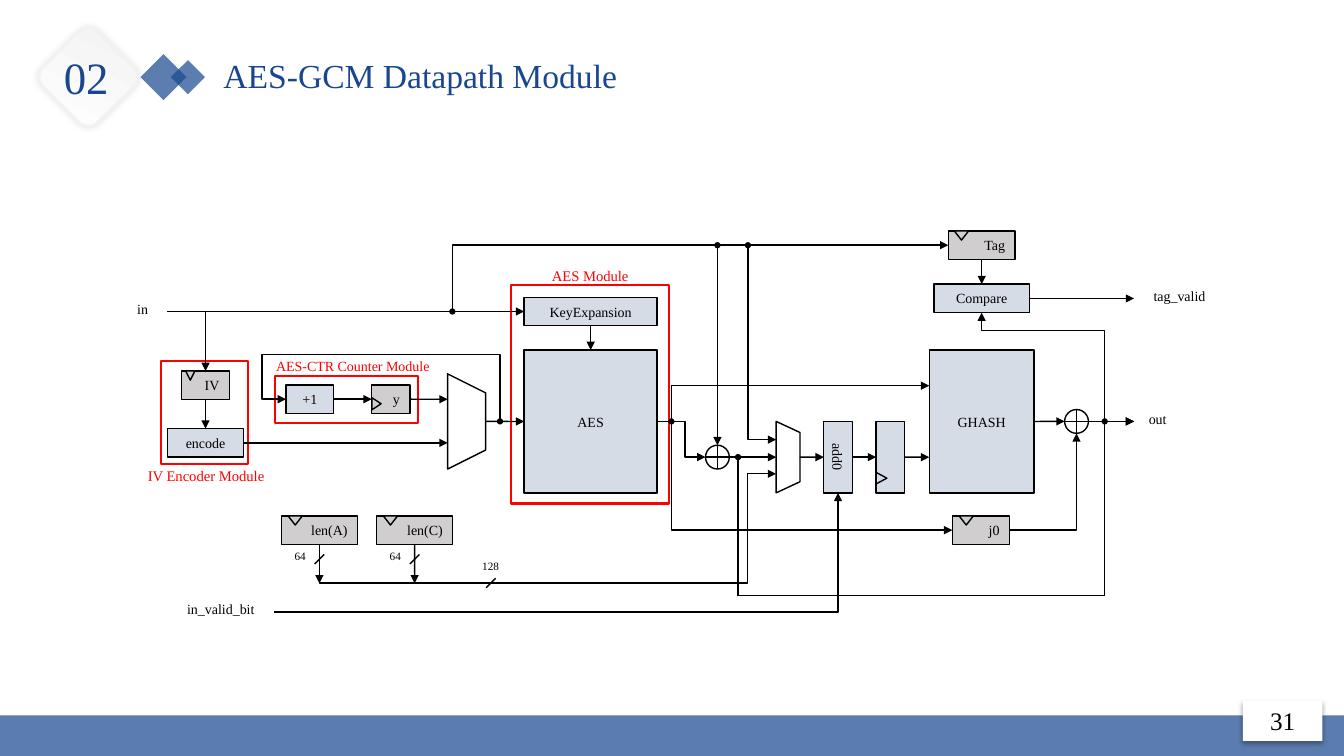
from lxml.etree import SubElement
from pptx import Presentation
from pptx.dml.color import RGBColor
from pptx.enum.shapes import MSO_CONNECTOR as Link, MSO_SHAPE as Preset
from pptx.enum.text import MSO_ANCHOR as Anchor, PP_ALIGN as Align
from pptx.oxml.ns import qn
from pptx.util import Cm, Pt

BLACK = RGBColor(0x00, 0x00, 0x00)
WHITE = RGBColor(0xFF, 0xFF, 0xFF)
PALE = RGBColor(0xF2, 0xF2, 0xF2)
RED = RGBColor(0xFF, 0x00, 0x00)
NAVY = RGBColor(0x18, 0x47, 0x8F)
STEEL = RGBColor(0x5B, 0x7C, 0xAE)
LOGIC = RGBColor(0xD6, 0xDC, 0xE5)
STORE = RGBColor(0xD0, 0xCE, 0xCE)
TOP, LEFT, BOTTOM, RIGHT = range(4)


class Diagram:
    font = "Times New Roman"

    def __init__(self, slide):
        self.slide = slide

    def add_text(self, frame, text, size, color, align):
        paragraph = frame.paragraphs[0]
        paragraph.alignment = align
        run = paragraph.add_run()
        run.text = text
        run.font.name, run.font.size = self.font, Pt(size)
        run.font.color.rgb = color

    def shape(self, preset, left, top, width, height, fill=None, line=BLACK, weight=1, turn=0):
        item = self.slide.shapes.add_shape(preset, Cm(left), Cm(top), Cm(width), Cm(height))
        item.shadow.inherit = False
        item.rotation = turn
        if fill is None:
            item.fill.background()
        else:
            item.fill.solid()
            item.fill.fore_color.rgb = fill
        if line is None:
            item.line.fill.background()
        else:
            item.line.color.rgb = line
            item.line.width = Pt(weight)
        return item

    def block(self, text, left, top, width, height=0.72, fill=LOGIC, align=Align.CENTER, upright=False):
        item = self.shape(Preset.RECTANGLE, left, top, width, height, fill)
        frame = item.text_frame
        frame.vertical_anchor = Anchor.MIDDLE
        if upright:
            frame._txBody.bodyPr.set("vert", "vert")
            frame.margin_left = frame.margin_right = 0
        if text:
            self.add_text(frame, text, 10, BLACK, align)
        return item

    def register(self, text, left, top, width, mark_left, mark_width=0.36):
        item = self.block(text, left, top, width, fill=STORE, align=Align.RIGHT)
        self.shape(Preset.ISOSCELES_TRIANGLE, left + mark_left, top, mark_width, 0.23, STORE, turn=180)
        return item

    def label(self, text, left, top, width, height, size=10, color=BLACK, align=Align.CENTER, wrap=True):
        box = self.slide.shapes.add_textbox(Cm(left), Cm(top), Cm(width), Cm(height))
        box.text_frame.word_wrap = wrap
        self.add_text(box.text_frame, text, size, color, align)

    def connector(self, kind, begin, end, arrow):
        item = self.slide.shapes.add_connector(kind, *(Cm(v) for v in (*begin, *end)))
        item.line.color.rgb = BLACK
        item.line.width = Pt(1)
        if arrow:
            SubElement(item.line._get_or_add_ln(), qn(f"a:{arrow}"), type="triangle")
        SubElement(item.element.spPr, qn("a:effectLst"))
        return item

    def wire(self, begin, end, start=None, stop=None, arrow="tailEnd"):
        item = self.connector(Link.STRAIGHT, begin, end, arrow)
        if start:
            item.begin_connect(*start)
        if stop:
            item.end_connect(*stop)

    def bend(self, begin, end, *turns, arrow="tailEnd"):
        """Turns are the x, y, x... positions of the middle legs."""
        item = self.connector(Link.ELBOW, begin, end, arrow)
        geometry = item.element.spPr.find(qn("a:prstGeom"))
        geometry.set("prst", f"bentConnector{len(turns) + 2}")
        guides = geometry.find(qn("a:avLst"))
        for i, turn in enumerate(turns):
            axis = i % 2
            ratio = (turn - begin[axis]) / (end[axis] - begin[axis])
            SubElement(guides, qn("a:gd"), name=f"adj{i + 1}", fmla=f"val {round(ratio * 100000)}")

    def dot(self, x, y):
        self.shape(Preset.OVAL, x - 0.06, y - 0.06, 0.12, 0.12, BLACK)

    def adder(self, x, y, r=0.3):
        self.shape(Preset.OVAL, x - r, y - r, 2 * r, 2 * r)
        self.wire((x - r, y), (x + r, y), arrow=None)
        self.wire((x, y - r), (x, y + r), arrow=None)

    def bus(self, x, y, bits, text_left, text_top):
        self.wire((x + 0.12, y - 0.12), (x - 0.12, y + 0.12), arrow=None)
        self.label(bits, text_left, text_top, 0.97, 0.71, 8, wrap=False)

    def module(self, title, frame, caption, size=10.5):
        self.shape(Preset.RECTANGLE, *frame, line=RED, weight=1.5)
        self.label(title, *caption, size, RED, wrap=False)

    def shade(self, item, alpha, blur, distance, angle):
        effects = item.element.spPr.find(qn("a:effectLst"))
        outer = SubElement(effects, qn("a:outerShdw"), blurRad=str(int(Pt(blur))), dist=str(int(Pt(distance))),
                           dir=str(angle * 60000), algn="ctr", rotWithShape="0")
        tint = SubElement(outer, qn("a:srgbClr"), val=str(BLACK))
        SubElement(tint, qn("a:alpha"), val=str(alpha * 1000))


def main():
    deck = Presentation()
    deck.slide_width, deck.slide_height = Cm(33.87), Cm(19.05)
    d = Diagram(deck.slides.add_slide(deck.slide_layouts[6]))

    # Heading
    for left, top, side in ((3.71, 1.53, 0.82), (4.43, 1.64, 0.61)):
        diamond = d.shape(Preset.RECTANGLE, left, top, side, side, NAVY, None, turn=225)
        tint = diamond.element.spPr.find(qn("a:solidFill"))[0]
        SubElement(tint, qn("a:alpha"), val="70000")
    d.label("AES-GCM Datapath Module", 5.38, 1.27, 13.36, 1.27, 24, NAVY, Align.LEFT)
    badge = d.shape(Preset.ROUNDED_RECTANGLE, 1.25, 0.97, 1.95, 1.95, WHITE, PALE, 2, 45)
    badge.fill.gradient()
    badge.fill.gradient_angle = 110
    for stop, color in zip(badge.fill.gradient_stops, (WHITE, PALE)):
        stop.color.rgb = color
    d.shade(badge, 11, 5, 0, 0)
    d.label("02", 1.35, 1.12, 1.65, 1.62, 32, NAVY, wrap=False)

    # Module frames
    d.module("AES Module", (12.88, 7.19, 3.99, 5.5), (13.59, 6.6, 2.57, 0.74))
    d.module("AES-CTR Counter Module", (6.94, 9.47, 3.6, 1.2), (6.68, 8.89, 4.42, 0.69), 10)
    d.module("IV Encoder Module", (4.06, 9.1, 2.2, 2.59), (3.2, 11.63, 3.99, 0.74))

    # Logic blocks and registers
    aes = d.block("AES", 13.21, 8.82, 3.35, 3.6)
    ghash = d.block("GHASH", 23.42, 8.82, 2.64, 3.6)
    key = d.block("KeyExpansion", 13.21, 7.49, 3.35)
    plus = d.block("+1", 7.21, 9.7, 1.2)
    encode = d.block("encode", 4.22, 10.8, 1.92)
    compare = d.block("Compare", 23.54, 7.16, 2.4)
    add0 = d.block("add0", 20.76, 10.62, 0.72, 1.8, upright=True)
    stage = d.block("", 22.08, 10.62, 0.72, 1.8)
    d.shape(Preset.ISOSCELES_TRIANGLE, 22.06, 11.91, 0.3, 0.28, turn=90)
    count = d.block("y", 9.37, 9.7, 0.96, fill=STORE, align=Align.RIGHT)
    d.shape(Preset.ISOSCELES_TRIANGLE, 9.34, 10.06, 0.3, 0.23, STORE, turn=90)
    iv = d.register("IV", 4.58, 9.35, 1.2, 0.1, 0.23)
    len_a = d.register("len(A)", 7.09, 13, 1.92, 0.17)
    len_c = d.register("len(C)", 9.49, 13, 1.92, 0.17)
    d.register("j0", 24, 13, 1.44, 0.17)
    tag = d.register("Tag", 23.9, 5.82, 1.68, 0.15)

    # Multiplexers and adders
    d.shape(Preset.FLOWCHART_MANUAL_OPERATION, 10.56, 10.14, 2.4, 0.96, turn=270)
    data_mux = d.shape(Preset.TRAPEZOID, 18.96, 11.22, 1.8, 0.6, turn=90)
    data_mux.adjustments[0] = 0.466
    d.adder(18.08, 11.52)
    d.adder(27.13, 10.62)

    # Straight wires
    for begin, end, start, stop in (
        ((6.14, 11.16), (11.28, 11.16), (encode, RIGHT), None),
        ((10.33, 10.06), (11.28, 10.06), (count, RIGHT), None),
        ((12.24, 10.62), (13.21, 10.62), None, (aes, LEFT)),
        ((14.88, 8.21), (14.88, 8.82), (key, BOTTOM), (aes, TOP)),
        ((4.22, 7.85), (13.21, 7.85), None, (key, LEFT)),
        ((8.41, 10.06), (9.37, 10.06), (plus, RIGHT), (count, LEFT)),
        ((20.16, 11.52), (20.76, 11.52), None, (add0, LEFT)),
        ((21.48, 11.52), (22.08, 11.52), (add0, RIGHT), (stage, LEFT)),
        ((22.8, 11.52), (23.42, 11.52), (stage, RIGHT), None),
        ((5.18, 10.07), (5.18, 10.8), (iv, BOTTOM), (encode, TOP)),
        ((8.05, 13.72), (8.05, 14.7), (len_a, BOTTOM), None),
        ((10.45, 13.72), (10.45, 14.7), (len_c, BOTTOM), None),
        ((18.38, 11.52), (19.56, 11.52), None, None),
        ((26.06, 10.62), (26.83, 10.62), (ghash, RIGHT), None),
        ((24.74, 6.54), (24.74, 7.16), (tag, BOTTOM), (compare, TOP)),
        ((27.43, 10.62), (28.58, 10.62), None, None),
        ((18.08, 6.18), (18.08, 11.22), None, None),
        ((25.94, 7.52), (28.58, 7.52), (compare, RIGHT), None),
    ):
        d.wire(begin, end, start, stop)

    # Bent wires
    d.bend((4.22, 7.85), (23.9, 6.18), 11.4)
    d.bend((4.22, 7.85), (5.18, 9.35))
    d.bend((12.24, 10.62), (7.21, 10.06), 12.6, 8.94, 6.6)
    d.bend((16.56, 10.62), (24, 13.36), 16.92)
    d.bend((16.56, 10.62), (23.42, 9.72), 16.92)
    d.bend((16.56, 10.62), (17.78, 11.52), 17.26)
    d.bend((19.56, 11.94), (8.05, 13.72), 18.85, 14.69, arrow="headEnd")
    d.bend((19.56, 11.08), (18.85, 6.18), arrow="headEnd")
    d.bend((25.44, 13.36), (27.13, 10.92))
    d.bend((6.91, 15.42), (21.12, 12.42))
    d.bend((27.43, 10.62), (24.74, 7.88), 27.84, 8.33)
    d.bend((18.38, 11.52), (18.6, 15.01), arrow=None)
    d.bend((18.6, 15.01), (28.58, 10.62), 27.84)

    # Junctions and bus widths
    for x, y in ((18.85, 6.18), (18.08, 6.18), (11.4, 7.85), (12.6, 10.62),
                 (16.92, 10.62), (18.6, 11.52), (27.84, 10.62)):
        d.dot(x, y)
    d.bus(8.05, 14.09, "64", 7.08, 13.73)
    d.bus(10.45, 14.09, "64", 9.48, 13.73)
    d.bus(12.37, 14.69, "128", 11.88, 13.97)

    # Ports
    for port, left, top, width in (("in", 3, 7.44, 1.19), ("in_valid_bit", 4.22, 15.01, 2.69),
                                   ("out", 28.58, 10.21, 1.19), ("tag_valid", 28.58, 7.11, 2.29)):
        d.label(port, left, top, width, 0.81)

    # Footer
    d.shape(Preset.RECTANGLE, 0, 18.03, 33.87, 1.02, STEEL, None)
    page = d.shape(Preset.RECTANGLE, 31.32, 17.65, 2.01, 1.02, WHITE, None)
    d.shade(page, 32, 3.5, 2.2, 90)
    page.text_frame.vertical_anchor = Anchor.MIDDLE
    d.add_text(page.text_frame, "31", 18, BLACK, Align.CENTER)

    deck.save("out.pptx")


if __name__ == "__main__":
    main()
